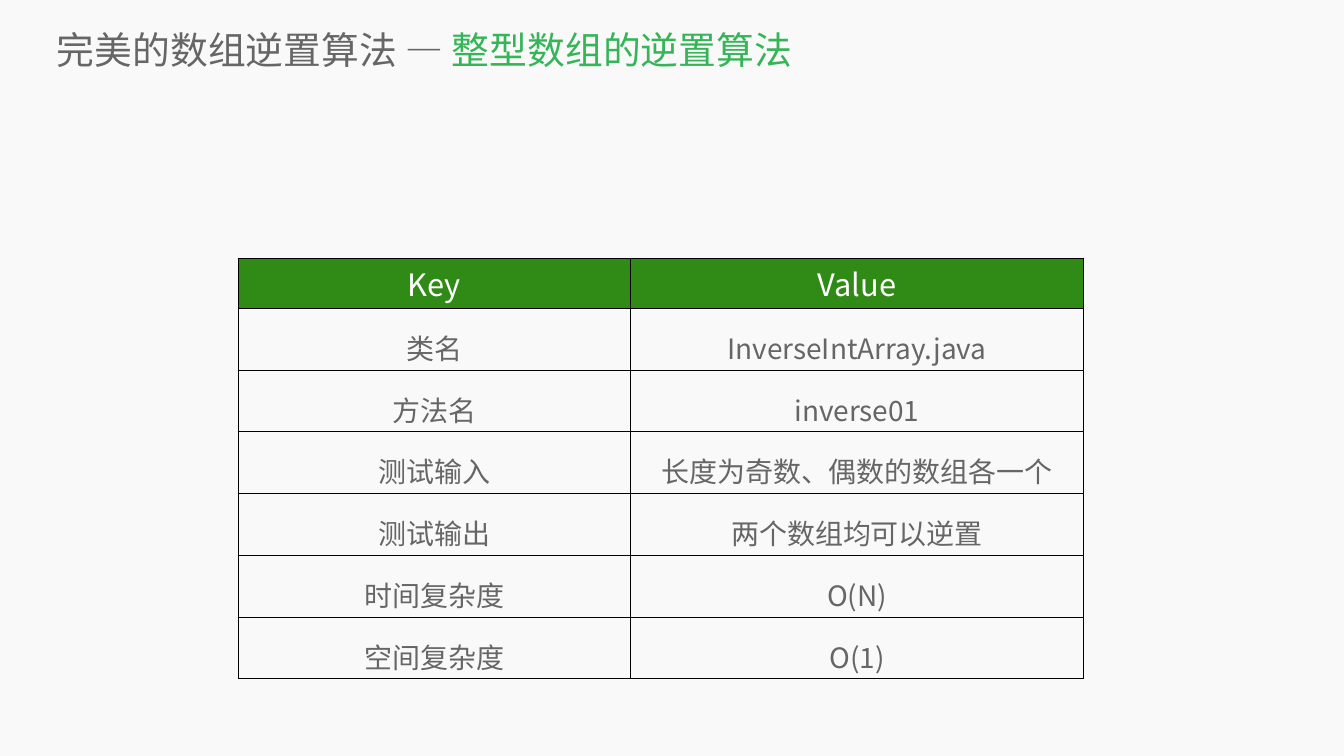
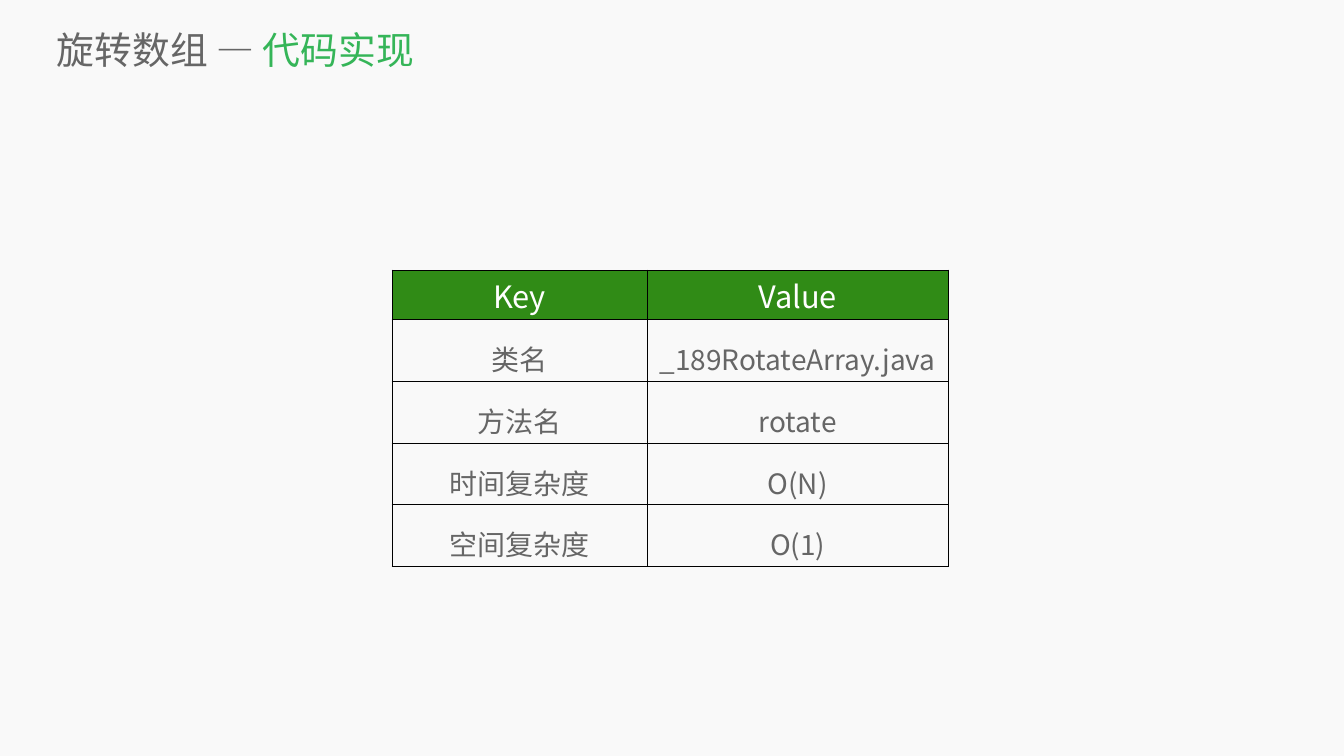
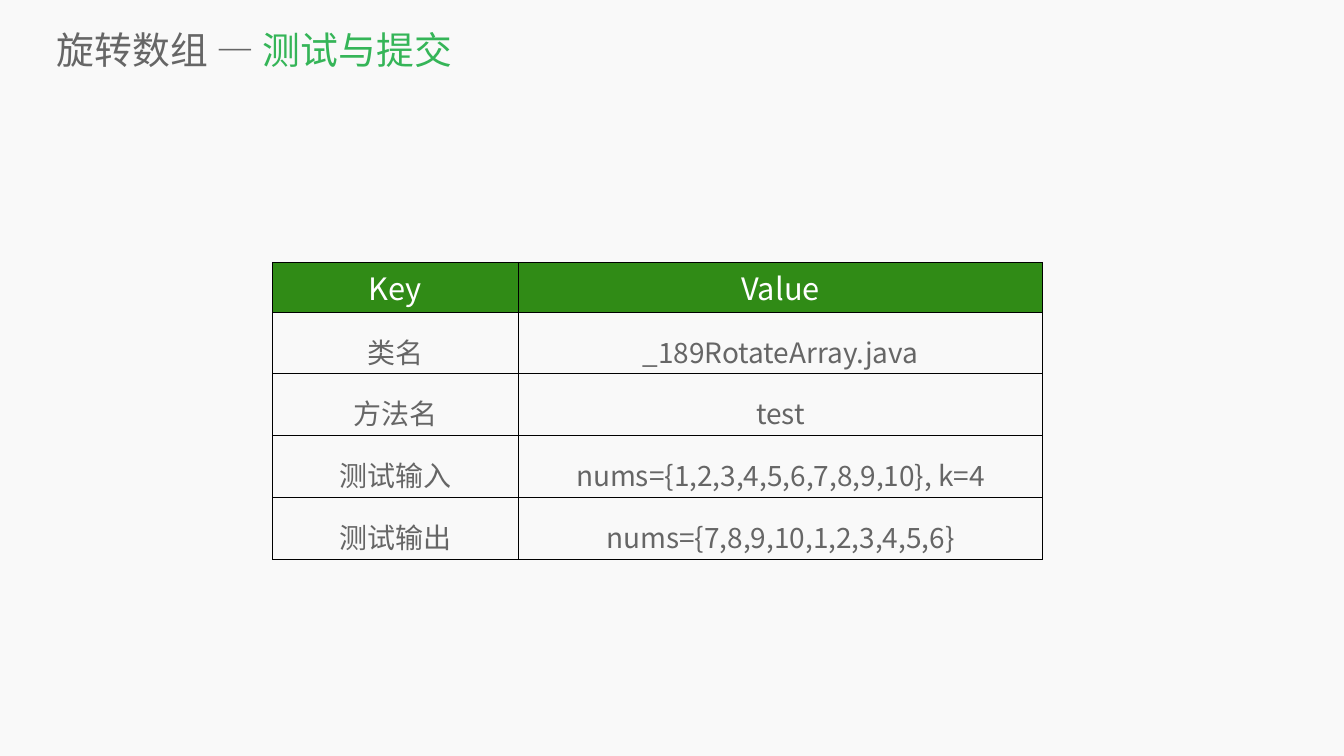
from lxml import etree
from pptx import Presentation
from pptx.dml.color import RGBColor
from pptx.enum.text import MSO_ANCHOR, PP_ALIGN
from pptx.oxml.ns import qn
from pptx.util import Pt

MIDDLE = MSO_ANCHOR.MIDDLE
LEFT, CENTER = PP_ALIGN.LEFT, PP_ALIGN.CENTER

# Shared style
FONT = "Noto Sans CJK SC"
BACKGROUND, GRAY, WHITE, BLACK = "F9F9F9", "666666", "FFFFFF", "000000"
TITLE_GREEN, HEADER_GREEN = "35B558", "308B16"
TITLE_SIZE, HEADER_SIZE, BODY_SIZE = 54, 44, 40
HEADER_HEIGHT, BODY_HEIGHT = 71, 88.2
HEADER = ("Key", "Value")


def color(value):
    return RGBColor.from_string(value)


class Deck:
    """Holds the presentation, its style and the current slide."""

    def __init__(self):
        self.presentation = Presentation()
        self.presentation.slide_width = Pt(1920)
        self.presentation.slide_height = Pt(1080)
        self.slide = None

    def add_slide(self):
        self.slide = self.presentation.slides.add_slide(self.presentation.slide_layouts[6])
        fill = self.slide.background.fill
        fill.solid()
        fill.fore_color.rgb = color(BACKGROUND)

    def add_run(self, paragraph, text, size, text_color):
        run = paragraph.add_run()
        run.text = text
        run.font.size = Pt(size)
        run.font.color.rgb = color(text_color)
        run.font.name = FONT
        east_asian = etree.SubElement(run.font._element, qn("a:ea"))
        east_asian.set("typeface", FONT)

    def add_title(self, topic, section):
        shape = self.slide.shapes.add_textbox(Pt(81.4), Pt(33.8), Pt(1811.5), Pt(73.4))
        frame = shape.text_frame
        frame.word_wrap = True
        frame.vertical_anchor = MIDDLE
        frame.margin_left = frame.margin_right = frame.margin_top = frame.margin_bottom = 0
        paragraph = frame.paragraphs[0]
        paragraph.alignment = LEFT
        self.add_run(paragraph, f"{topic} — ", TITLE_SIZE, GRAY)
        self.add_run(paragraph, section, TITLE_SIZE, TITLE_GREEN)

    def add_borders(self, cell):
        properties = cell._tc.get_or_add_tcPr()
        for index, side in enumerate(("lnL", "lnR", "lnT", "lnB")):
            line = etree.Element(qn(f"a:{side}"), w=str(Pt(1)))
            fill = etree.SubElement(line, qn("a:solidFill"))
            etree.SubElement(fill, qn("a:srgbClr"), val=BLACK)
            properties.insert(index, line)

    def fill_cell(self, cell, text, is_header):
        paragraph = cell.text_frame.paragraphs[0]
        paragraph.alignment = CENTER
        if is_header:
            cell.fill.solid()
            cell.fill.fore_color.rgb = color(HEADER_GREEN)
            self.add_run(paragraph, text, HEADER_SIZE, WHITE)
        else:
            cell.fill.background()
            paragraph.line_spacing = 1.4
            self.add_run(paragraph, text, BODY_SIZE, GRAY)
        self.add_borders(cell)

    def add_table(self, left, top, widths, body):
        rows = [HEADER, *body]
        height = HEADER_HEIGHT + BODY_HEIGHT * len(body)
        shape = self.slide.shapes.add_table(
            len(rows), len(widths), Pt(left), Pt(top), Pt(sum(widths)), Pt(height))
        table = shape.table
        table.first_row = table.horz_banding = False
        for column, width in zip(table.columns, widths):
            column.width = Pt(width)
        for row_index, texts in enumerate(rows):
            is_header = row_index == 0
            table.rows[row_index].height = Pt(HEADER_HEIGHT if is_header else BODY_HEIGHT)
            for column_index, text in enumerate(texts):
                self.fill_cell(table.cell(row_index, column_index), text, is_header)


COMPLEXITY = [("时间复杂度", "O(N)"), ("空间复杂度", "O(1)")]
ROTATE_CLASS = ("类名", "_189RotateArray.java")

# Topic, section, table left, table top, column widths, table rows
SLIDES = [
    ("完美的数组逆置算法", "整型数组的逆置算法", 339.8, 369.4, (561, 647), [
        ("类名", "InverseIntArray.java"),
        ("方法名", "inverse01"),
        ("测试输入", "长度为奇数、偶数的数组各一个"),
        ("测试输出", "两个数组均可以逆置"),
        *COMPLEXITY,
    ]),
    ("旋转数组", "代码实现", 560, 385.6, (364.5, 430), [
        ROTATE_CLASS,
        ("方法名", "rotate"),
        *COMPLEXITY,
    ]),
    ("旋转数组", "测试与提交", 389.4, 374.6, (351, 749), [
        ROTATE_CLASS,
        ("方法名", "test"),
        ("测试输入", "nums={1,2,3,4,5,6,7,8,9,10}, k=4"),
        ("测试输出", "nums={7,8,9,10,1,2,3,4,5,6}"),
    ]),
]


def main():
    deck = Deck()
    for topic, section, left, top, widths, body in SLIDES:
        deck.add_slide()
        deck.add_title(topic, section)
        deck.add_table(left, top, widths, body)
    deck.presentation.save("out.pptx")


if __name__ == "__main__":
    main()
